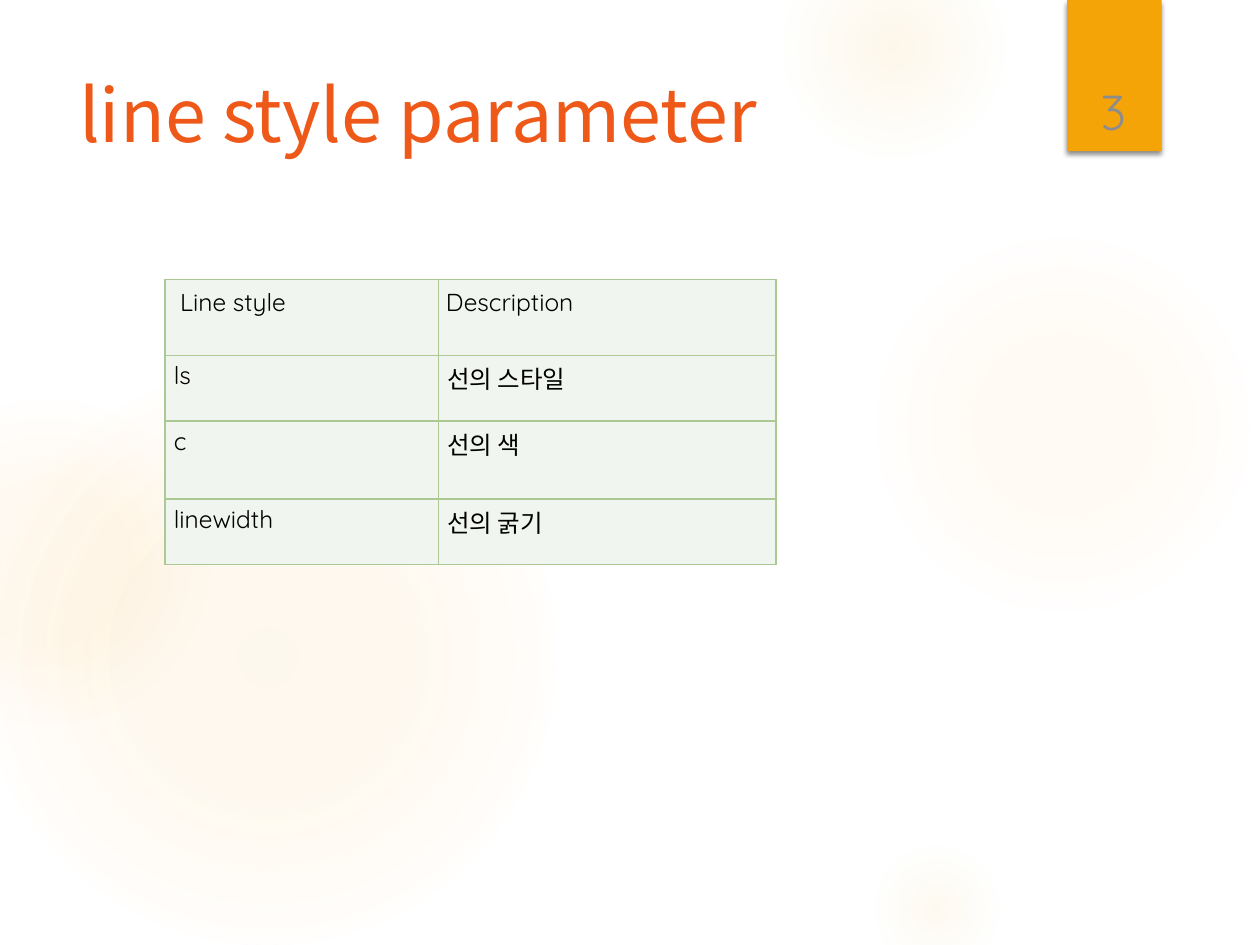
from dataclasses import dataclass

from lxml.etree import SubElement
from pptx import Presentation
from pptx.dml.color import RGBColor
from pptx.enum.shapes import MSO_SHAPE
from pptx.enum.text import MSO_ANCHOR, PP_ALIGN
from pptx.oxml.ns import qn
from pptx.util import Inches, Pt


@dataclass(frozen=True)
class Theme:
    """Colours, fonts and type sizes of the slide."""
    glow: str = "FAC96A"
    ribbon: str = "F5A408"
    shadow: str = "000000"
    title: str = "EE5818"
    number: str = "8C8C8C"
    body: str = "000000"
    cell: str = "F1F5EF"
    border: str = "ACC995"
    latin_font: str = "Quicksand"
    korean_font: str = "Noto Sans CJK KR"
    title_size: int = 42
    number_size: int = 28
    body_size: int = 14


THEME = Theme()

GLOWS = [
    (6.89, 1.83, 3.08, [(0, 7), (36, 6), (69, 0)]),
    (6.22, -0.5, 1.75, [(0, 14), (36, 7), (73, 0)]),
    (6.89, 6.67, 1.08, [(0, 10), (31, 5), (66, 0)]),
    (-0.17, 2.92, 4.58, [(0, 11), (36, 10), (75, 0)]),
    (-0.92, 3.17, 2.58, [(0, 8), (36, 8), (72, 0)]),
]
PARAMETERS = [
    ("Line style", "Description"),
    ("ls", "선의 스타일"),
    ("c", "선의 색"),
    ("linewidth", "선의 굵기"),
]
COLUMN_WIDTHS = (2.17, 2.68)
ROW_HEIGHTS = (0.6, 0.52, 0.62, 0.52)


def add_node(parent, tag, **attributes):
    """Append a DrawingML element and return it."""
    return SubElement(parent, qn(tag), {key: str(value) for key, value in attributes.items()})


def add_color(parent, color, opacity=100):
    """Append a colour with an opacity in percent."""
    node = add_node(parent, "a:srgbClr", val=color)
    if opacity < 100:
        add_node(node, "a:alpha", val=opacity * 1000)


def style_text(paragraph, size, color, latin_font):
    """Format every run of a paragraph."""
    for run in paragraph.runs:
        run.font.size = Pt(size)
        run.font.color.rgb = RGBColor.from_string(color)
        run.font.name = latin_font
        add_node(run.font._element, "a:ea", typeface=THEME.korean_font)


def add_plain_shape(slide, kind, left, top, width, height):
    """Add a preset shape without outline or shadow."""
    shape = slide.shapes.add_shape(kind, Inches(left), Inches(top), Inches(width), Inches(height))
    shape.shadow.inherit = False
    shape.line.fill.background()
    return shape


def add_glow(slide, left, top, size, stops):
    """Add a circle that fades out from its centre."""
    circle = add_plain_shape(slide, MSO_SHAPE.OVAL, left, top, size, size)
    circle.fill.gradient()
    gradient = circle._element.spPr.find(qn("a:gradFill"))
    for child in list(gradient):
        gradient.remove(child)
    stop_list = add_node(gradient, "a:gsLst")
    for position, opacity in stops:
        add_color(add_node(stop_list, "a:gs", pos=position * 1000), THEME.glow, opacity)
    radial = add_node(gradient, "a:path", path="circle")
    add_node(radial, "a:fillToRect", l=50000, t=50000, r=50000, b=50000)


def add_ribbon(slide):
    """Add the page number ribbon with its drop shadow."""
    ribbon = add_plain_shape(slide, MSO_SHAPE.RECTANGLE, 8.47, 0, 0.75, 1.2)
    ribbon.fill.solid()
    ribbon.fill.fore_color.rgb = RGBColor.from_string(THEME.ribbon)
    effects = ribbon._element.spPr.find(qn("a:effectLst"))
    shadow = add_node(effects, "a:outerShdw", blurRad=Pt(3), dist=Pt(2),
                      dir=90 * 60000, algn="ctr", rotWithShape=0)
    add_color(shadow, THEME.shadow, 45)


def add_label(slide, text, place, size, color, font, anchor, align):
    """Add a wrapped one-paragraph text box."""
    frame = slide.shapes.add_textbox(*map(Inches, place)).text_frame
    frame.word_wrap = True
    frame.vertical_anchor = anchor
    frame.text = text
    frame.paragraphs[0].alignment = align
    style_text(frame.paragraphs[0], size, color, font)


def format_cell(cell, text, margins):
    """Fill a cell with text, colour and thin borders."""
    cell.margin_left, cell.margin_top, cell.margin_right, cell.margin_bottom = map(Inches, margins)
    cell.text = text
    style_text(cell.text_frame.paragraphs[0], THEME.body_size, THEME.body, THEME.latin_font)
    properties = cell._tc.get_or_add_tcPr()
    for side in ("L", "R", "T", "B"):
        border = add_node(properties, f"a:ln{side}", w=Pt(1))
        add_color(add_node(border, "a:solidFill"), THEME.border)
    cell.fill.solid()
    cell.fill.fore_color.rgb = RGBColor.from_string(THEME.cell)


def add_parameter_table(slide):
    """Add the table of line style parameters."""
    frame = slide.shapes.add_table(
        len(ROW_HEIGHTS), len(COLUMN_WIDTHS), Inches(1.31), Inches(2.22),
        Inches(sum(COLUMN_WIDTHS)), Inches(sum(ROW_HEIGHTS)))
    table = frame.table
    for column, width in zip(table.columns, COLUMN_WIDTHS):
        column.width = Inches(width)
    for row_index, (row, height) in enumerate(zip(table.rows, ROW_HEIGHTS)):
        row.height = Inches(height)
        for column_index, text in enumerate(PARAMETERS[row_index]):
            if row_index == 0:
                margins = (0.06 if column_index else 0.12, 0.06, 0.06, 0.06)
            else:
                margins = (0.07, 0.04, 0.07, 0.04)
            format_cell(table.cell(row_index, column_index), text, margins)


def main():
    """Build and save the slide."""
    presentation = Presentation()
    presentation.slide_width, presentation.slide_height = Inches(10), Inches(7.5)
    slide = presentation.slides.add_slide(presentation.slide_layouts[6])
    for glow in GLOWS:
        add_glow(slide, *glow)
    add_ribbon(slide)
    add_label(slide, "line style parameter", (0.53, 0.5, 7.72, 1.53), THEME.title_size,
              THEME.title, THEME.korean_font, MSO_ANCHOR.TOP, PP_ALIGN.LEFT)
    add_parameter_table(slide)
    add_label(slide, "3", (8.49, 0.32, 0.69, 0.84), THEME.number_size,
              THEME.number, THEME.latin_font, MSO_ANCHOR.BOTTOM, PP_ALIGN.CENTER)
    presentation.save("out.pptx")


if __name__ == "__main__":
    main()
